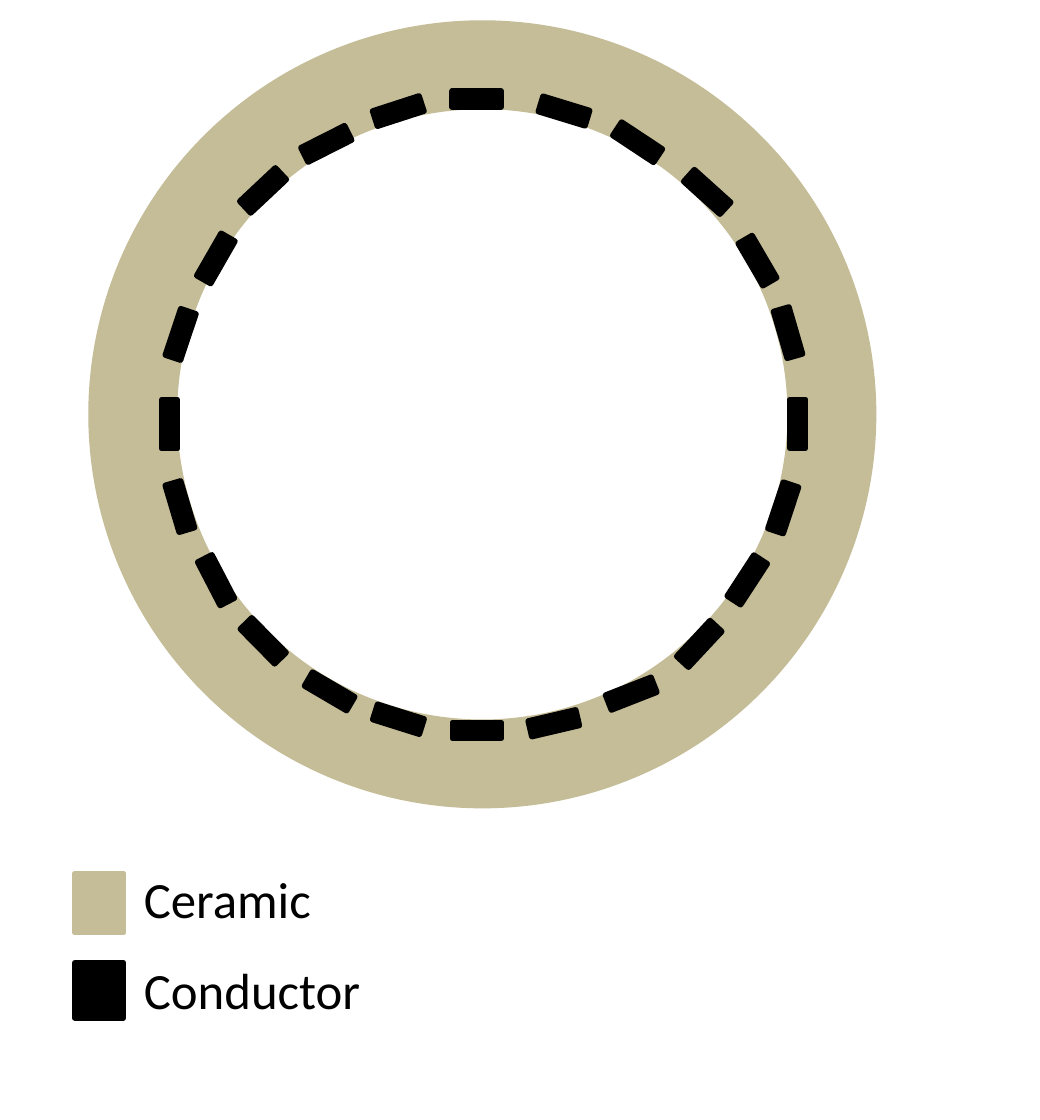
from pptx import Presentation
from pptx.dml.color import RGBColor
from pptx.enum import shapes, text
from pptx.util import Cm, Pt

CERAMIC, CONDUCTOR = "C4BD97", "000000"

# Ceramic ring: centre x, centre y, mid-line diameter (cm), thickness (pt)
RING = (6.03, 5.18, 8.74, 31.5)

# Conductors clockwise from the top: centre x, centre y (cm), rotation (degrees)
CONDUCTOR_SIZE = (0.61, 0.2)
CONDUCTORS = [
    (5.96, 1.24, 0), (7.05, 1.39, 17), (7.97, 1.78, 33.5),
    (8.84, 2.4, 42), (9.47, 3.26, 59.7), (9.85, 4.16, 73.8),
    (9.97, 5.3, 90), (9.79, 6.35, 108.4), (9.34, 7.25, 123.1),
    (8.74, 8.05, 133), (7.89, 8.67, 158.6), (6.92, 9.04, 166.8),
    (5.96, 9.13, 180), (4.98, 8.99, 197.5), (4.12, 8.64, 210.4),
    (3.29, 8.01, 225.4), (2.7, 7.25, 242.6), (2.25, 6.33, 253.4),
    (2.12, 5.3, 270), (2.26, 4.18, 288.5), (2.7, 3.23, 299.9),
    (3.29, 2.38, 316.8), (4.08, 1.8, 333.2), (4.98, 1.39, 342),
]

# Legend: label, colour, swatch centre y, swatch height, label top, label width (cm)
SWATCH_X, SWATCH_WIDTH = 1.24, 0.61
LABEL_LEFT, LABEL_HEIGHT = 1.55, 1.02
LEGEND = [
    ("Ceramic", CERAMIC, 11.29, 0.74, 10.72, 2.62),
    ("Conductor", CONDUCTOR, 12.38, 0.69, 11.86, 3.25),
]

prs = Presentation()
prs.slide_width, prs.slide_height = Cm(13), Cm(14)
slide = prs.slides.add_slide(prs.slide_layouts[6])


def paint(target, colour):
    target.rgb = RGBColor.from_string(colour)


def add_centred(kind, x, y, width, height, colour, line_width=2, filled=True):
    shape = slide.shapes.add_shape(
        kind, Cm(x - width / 2), Cm(y - height / 2), Cm(width), Cm(height))
    shape.shadow.inherit = False
    if filled:
        shape.fill.solid()
        paint(shape.fill.fore_color, colour)
    else:
        shape.fill.background()
    paint(shape.line.color, colour)
    shape.line.width = Pt(line_width)
    return shape


# Ring
ring_x, ring_y, diameter, thickness = RING
add_centred(shapes.MSO_SHAPE.OVAL, ring_x, ring_y, diameter, diameter,
            CERAMIC, thickness, filled=False)

# Conductors along the inner edge
for x, y, angle in CONDUCTORS:
    conductor = add_centred(shapes.MSO_SHAPE.RECTANGLE, x, y, *CONDUCTOR_SIZE, CONDUCTOR)
    conductor.rotation = angle

# Legend
for name, colour, y, height, top, width in LEGEND:
    add_centred(shapes.MSO_SHAPE.RECTANGLE, SWATCH_X, y, SWATCH_WIDTH, height, colour)
    label = slide.shapes.add_textbox(Cm(LABEL_LEFT), Cm(top), Cm(width), Cm(LABEL_HEIGHT))
    frame = label.text_frame
    frame.word_wrap = False
    frame.auto_size = text.MSO_AUTO_SIZE.SHAPE_TO_FIT_TEXT
    frame.text = name
    font = frame.paragraphs[0].runs[0].font
    font.name, font.size = "Calibri", Pt(18)
    paint(font.color, "000000")

prs.save("out.pptx")
